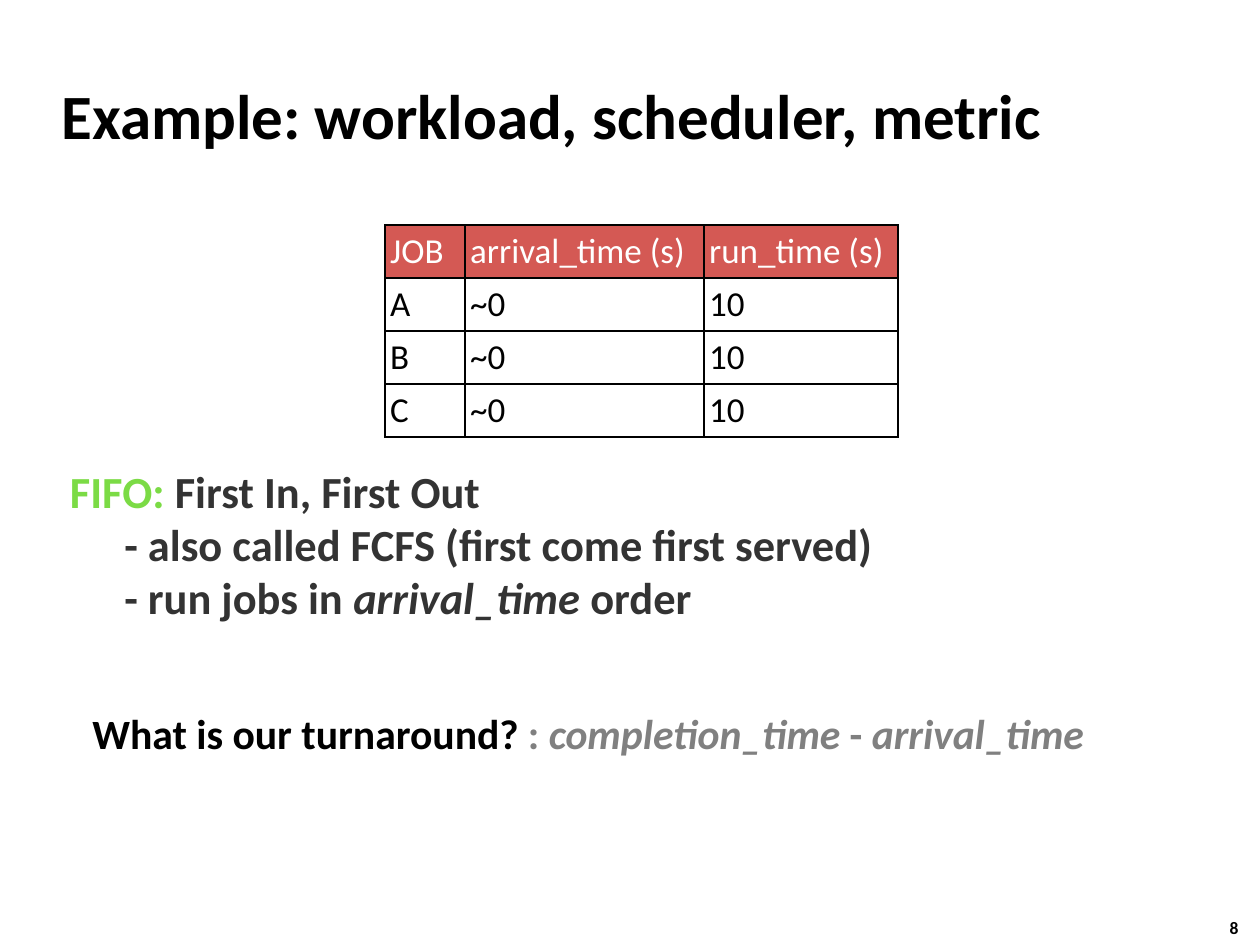
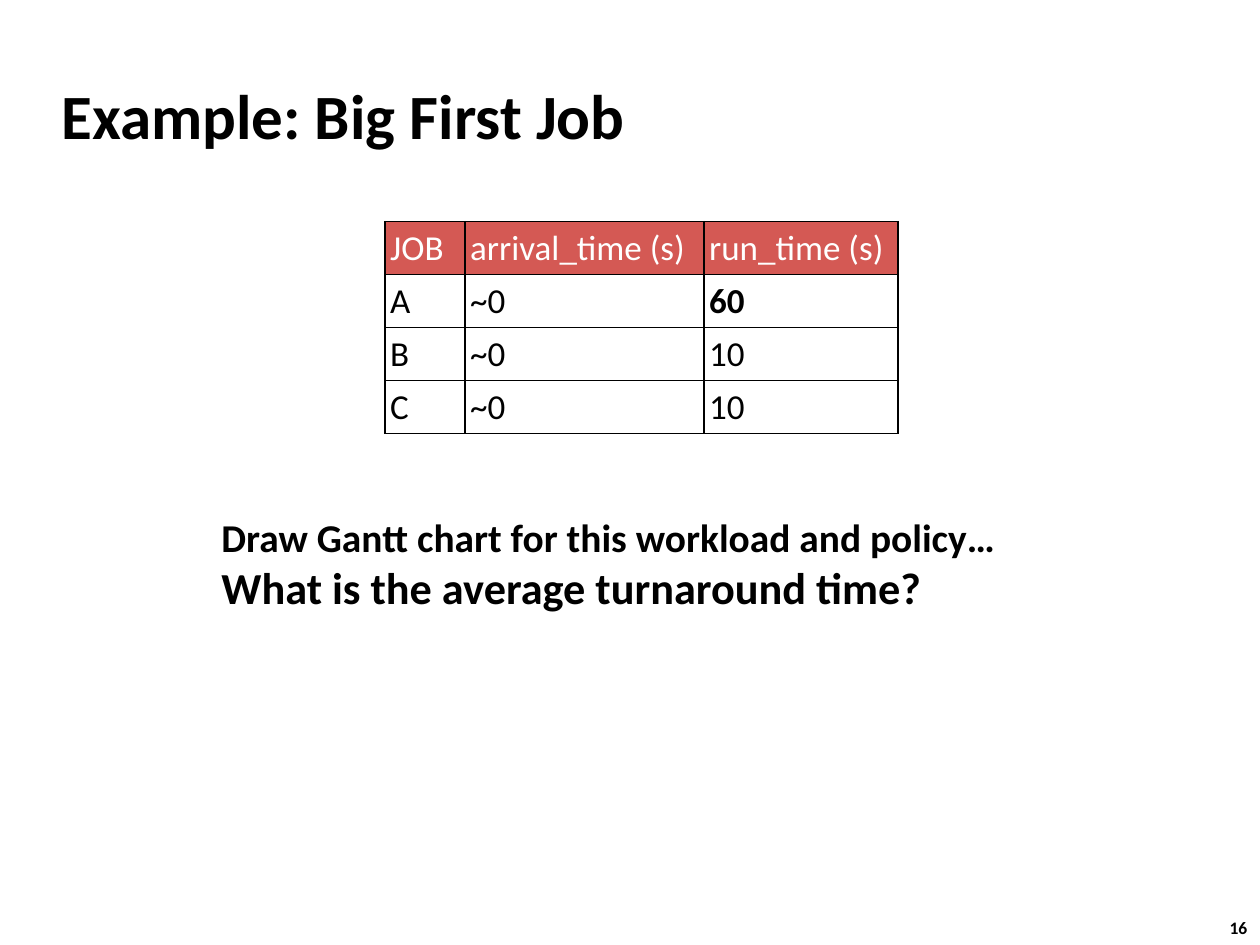
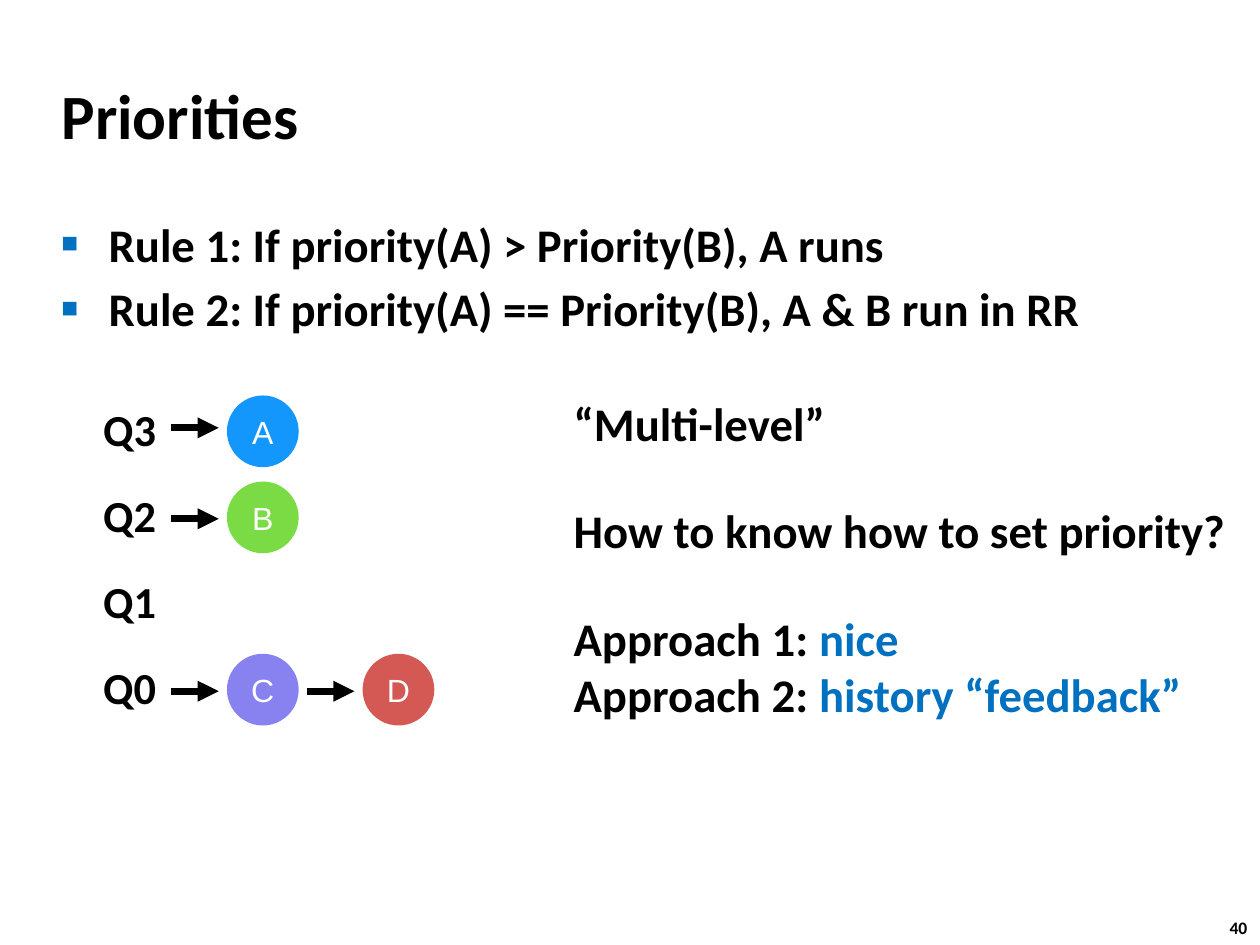
from lxml import etree
from pptx import Presentation
from pptx import util as u
from pptx.dml.color import RGBColor
from pptx.enum import shapes, text
from pptx.oxml import ns

Pt = u.Pt
BLACK = RGBColor(0x00, 0x00, 0x00)
WHITE = RGBColor(0xFF, 0xFF, 0xFF)
DARK = RGBColor(0x33, 0x33, 0x33)
GREY = RGBColor(0x80, 0x80, 0x80)
RED = RGBColor(0xD4, 0x59, 0x54)
GREEN = RGBColor(0x7B, 0xDB, 0x45)
BLUE = RGBColor(0x00, 0x70, 0xC0)
SKY = RGBColor(0x14, 0x97, 0xFC)
VIOLET = RGBColor(0x88, 0x81, 0xF0)


def child(node, tag, **attrs):
    return etree.SubElement(node, ns.qn(tag), **attrs)


class Deck:
    font = "Calibri"
    inset = (7.2, 3.6)

    def __init__(self):
        self.prs = Presentation()
        self.prs.slide_width, self.prs.slide_height = Pt(720), Pt(540)
        self.slide = None

    def page(self, title, number):
        self.slide = self.prs.slides.add_slide(self.prs.slide_layouts[5])
        head = self.slide.shapes.title
        head.left, head.top, head.width, head.height = Pt(28), Pt(35.5), Pt(598), Pt(60)
        frame = head.text_frame
        frame.text = title
        frame.auto_size = text.MSO_AUTO_SIZE.NONE
        frame.vertical_anchor = text.MSO_ANCHOR.MIDDLE
        frame.paragraphs[0].alignment = text.PP_ALIGN.LEFT
        self.style(frame.paragraphs[0].runs[0], 36)
        self.label((695.5, 520.5, 27, 19.5), [number], 10, pad=self.inset)

    def style(self, run, size, color=BLACK, bold=True, italic=False, font=None):
        face = run.font
        face.name, face.size = font or self.font, Pt(size)
        face.bold, face.italic = bold, italic
        face.color.rgb = color

    def label(self, box, lines, size, pad=(0, 0), gap=0, middle=False):
        frame = self.slide.shapes.add_textbox(*map(Pt, box)).text_frame
        frame.word_wrap = True
        frame.margin_left = frame.margin_right = Pt(pad[0])
        frame.margin_top = frame.margin_bottom = Pt(pad[1])
        if middle:
            frame.vertical_anchor = text.MSO_ANCHOR.MIDDLE
        for i, line in enumerate(lines):
            para = frame.add_paragraph() if i else frame.paragraphs[0]
            if i and gap:
                para.space_before = Pt(gap)
            for part in [line] if isinstance(line, str) else line:
                words, *look = (part,) if isinstance(part, str) else part
                run = para.add_run()
                run.text = words
                color, italic = look + [BLACK, False][len(look):]
                self.style(run, size, color, italic=italic)
        return frame.paragraphs

    def bullets(self, box, lines, size):
        for para in self.label(box, lines, size, self.inset, gap=5):
            props = para._p.get_or_add_pPr()
            props.set("marL", str(Pt(27)))
            props.set("indent", str(Pt(-27)))
            child(child(props, "a:buClr"), "a:srgbClr", val=str(BLUE))
            child(props, "a:buSzPct", val="60000")
            child(props, "a:buFont", typeface="Arial")
            child(props, "a:buChar", char="■")

    def table(self, top, rows, strong=None):
        wides, tall = (45.7, 136.6, 110.9), 30.3
        grid = self.slide.shapes.add_table(
            len(rows), len(wides), Pt(220), Pt(top), Pt(sum(wides)), Pt(tall * len(rows))).table
        grid.first_row = grid.horz_banding = False
        for col, wide in zip(grid.columns, wides):
            col.width = Pt(wide)
        for r, row in enumerate(rows):
            grid.rows[r].height = Pt(tall)
            for c, words in enumerate(row):
                self.cell(grid.cell(r, c), words, r == 0, (r, c) == strong)

    def cell(self, cell, words, head, bold):
        cell.text = words
        cell.vertical_anchor = text.MSO_ANCHOR.MIDDLE
        cell.margin_left = cell.margin_right = cell.margin_top = cell.margin_bottom = Pt(3)
        self.style(cell.text_frame.paragraphs[0].runs[0], 20, WHITE if head else BLACK, bold)
        props = cell._tc.get_or_add_tcPr()
        for side in "LRTB":
            edge = child(props, "a:ln" + side, w=str(Pt(1)))
            child(child(edge, "a:solidFill"), "a:srgbClr", val=str(BLACK))
        if head:
            cell.fill.solid()
            cell.fill.fore_color.rgb = RED
        else:
            cell.fill.background()

    def disc(self, left, top, words, color):
        disc = self.slide.shapes.add_shape(
            shapes.MSO_SHAPE.OVAL, Pt(left), Pt(top), Pt(41), Pt(41))
        disc.shadow.inherit = False
        disc.fill.solid()
        disc.fill.fore_color.rgb = color
        disc.line.fill.background()
        frame = disc.text_frame
        frame.margin_left = frame.margin_right = frame.margin_top = frame.margin_bottom = 0
        frame.vertical_anchor = text.MSO_ANCHOR.MIDDLE
        frame.text = words
        frame.paragraphs[0].alignment = text.PP_ALIGN.CENTER
        self.style(frame.paragraphs[0].runs[0], 18.3, WHITE, False, font="Arial")

    def arrow(self, left, y):
        line = self.slide.shapes.add_connector(
            shapes.MSO_CONNECTOR.STRAIGHT, Pt(left), Pt(y), Pt(left + 27), Pt(y))
        line.line.color.rgb = BLACK
        line.line.width = Pt(4)
        props = line._element.spPr
        child(props.find(ns.qn("a:ln")), "a:tailEnd", type="triangle")
        child(props, "a:effectLst")


def jobs(*times):
    head = ("JOB", "arrival_time (s)", "run_time (s)")
    return [head] + [(name, "~0", time) for name, time in zip("ABC", times)]


def metric(deck):
    deck.page("Example: workload, scheduler, metric", "8")
    deck.table(128.7, jobs("10", "10", "10"))
    paras = deck.label((40, 265, 627, 130), [
        [("FIFO: ", GREEN), ("First In, First Out", DARK)],
        [("- also called FCFS (first come first served)", DARK)],
        [("- run jobs in ", DARK), ("arrival_time", DARK, True), (" order", DARK)],
    ], 25.4)
    for para in paras[1:]:
        para._p.get_or_add_pPr().set("marL", str(Pt(31)))
    deck.label((52.8, 404.6, 615, 42), [
        ["What is our turnaround? ", (": ", GREY), ("completion_time", GREY, True),
         (" - ", GREY), ("arrival_time", GREY, True)],
    ], 23.8)


def big(deck):
    deck.page("Example: Big First Job", "16")
    deck.table(126.7, jobs("60", "10", "10"), strong=(1, 2))
    paras = deck.label((123.5, 290.2, 470, 73), [
        "Draw Gantt chart for this workload and policy…",
        "What is the average turnaround time?",
    ], 22.5, pad=(3, 3))
    paras[1].runs[0].font.size = Pt(25.3)


def ranks(deck):
    deck.page("Priorities", "40")
    deck.bullets((28, 119.5, 615, 81), [
        "Rule 1: If priority(A) > Priority(B), A runs",
        "Rule 2: If priority(A) == Priority(B), A & B run in RR",
    ], 26.7)
    queues = [
        ("Q3", 244.5, [("A", SKY)]),
        ("Q2", 296.5, [("B", GREEN)]),
        ("Q1", 0, []),
        ("Q0", 395, [("C", VIOLET), ("D", RED)]),
    ]
    for i, (name, mid, tasks) in enumerate(queues):
        top = 226 + 49.2 * i
        deck.label((56, top + 0.8, 42, 36), [name], 25.3, pad=(3, 3), middle=True)
        for j, (task, color) in enumerate(tasks):
            step = 77.5 * j
            deck.arrow(98 + step, mid)
            deck.disc(129.7 + step, top, task, color)
    paras = deck.label((327.8, 225.5, 384, 266), [
        "“Multi-level”",
        "How to know how to set priority?",
        ["Approach 1: ", ("nice", BLUE)],
        ["Approach 2: ", ("history “feedback”", BLUE)],
    ], 26.7, gap=29.5)
    paras[3].space_before = Pt(0)


def main():
    deck = Deck()
    for build in (metric, big, ranks):
        build(deck)
    deck.prs.save("out.pptx")


if __name__ == "__main__":
    main()
